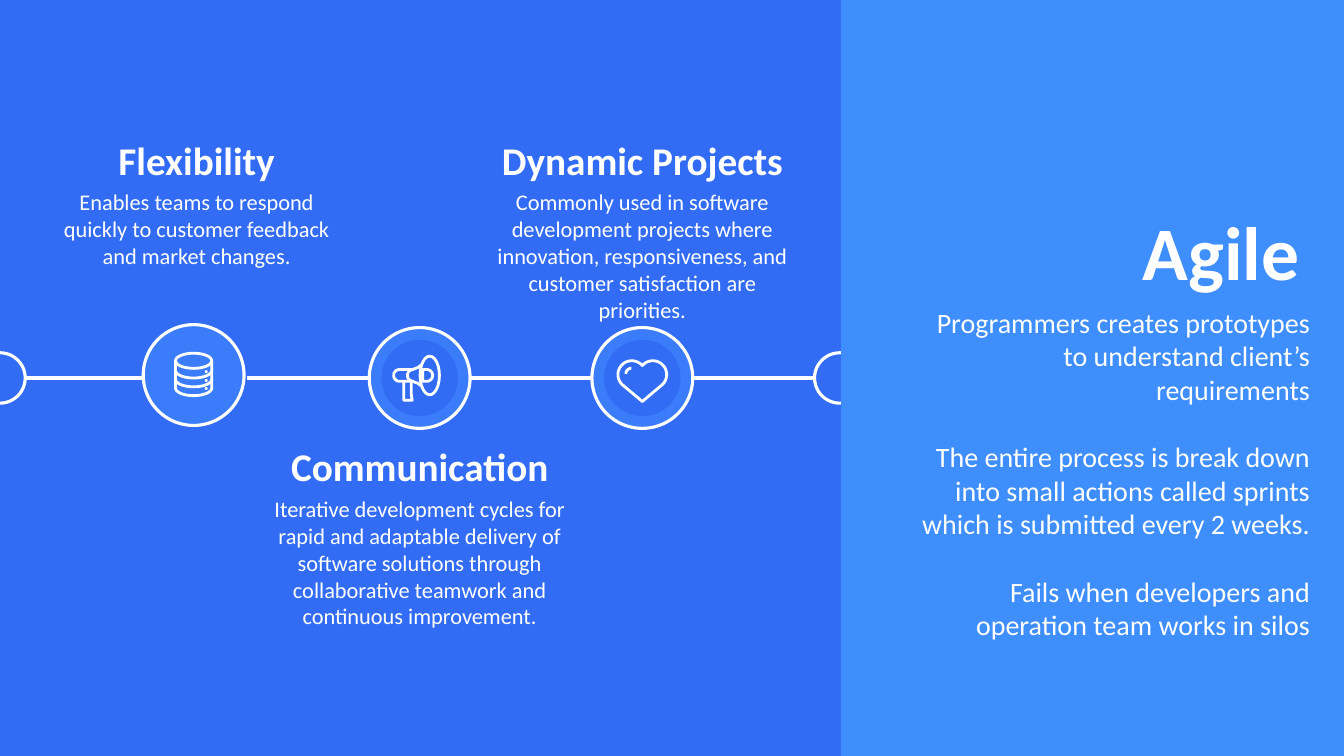
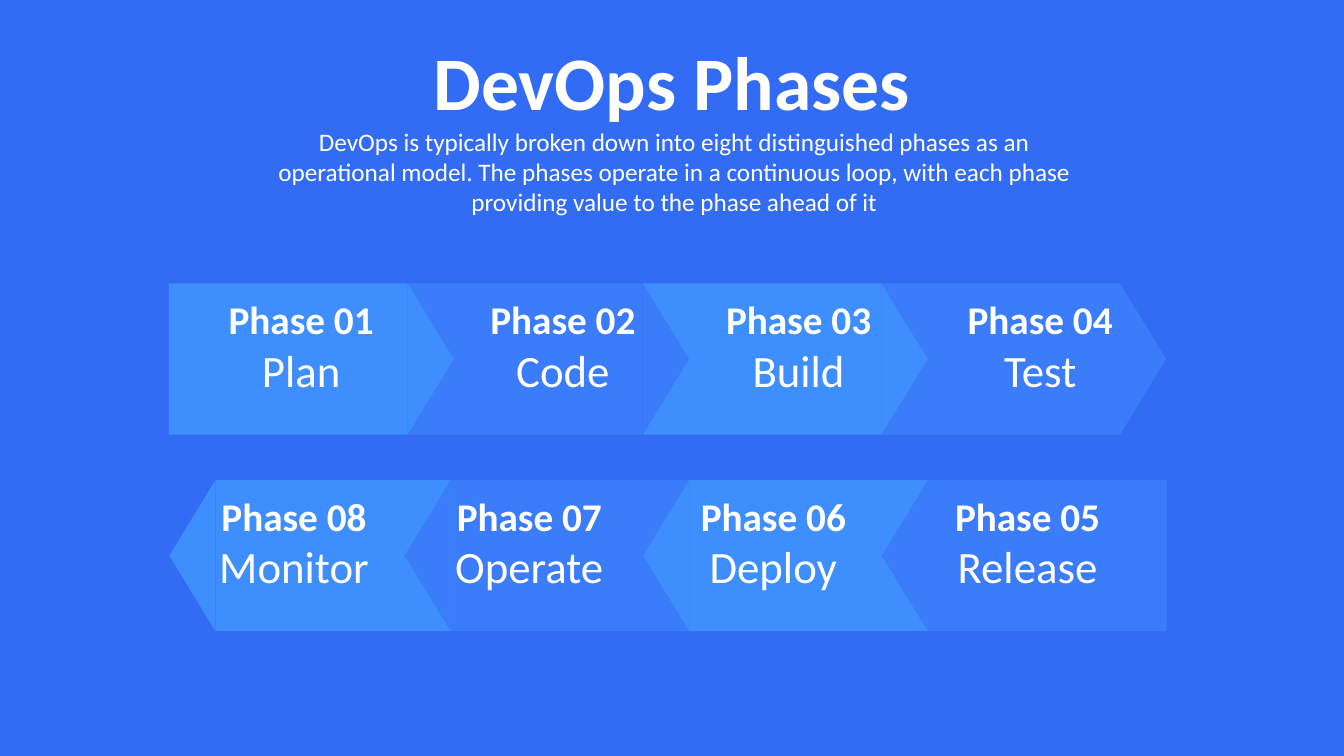
from dataclasses import dataclass
from math import cos, radians, sin

from lxml import etree
from pptx import Presentation
from pptx.dml.color import RGBColor
from pptx.enum.shapes import MSO_CONNECTOR, MSO_SHAPE
from pptx.enum.text import PP_ALIGN
from pptx.oxml.ns import qn
from pptx.util import Emu, Inches, Pt

RECT, OVAL, WEDGE = MSO_SHAPE.RECTANGLE, MSO_SHAPE.OVAL, MSO_SHAPE.ISOSCELES_TRIANGLE
LINE = MSO_CONNECTOR.STRAIGHT
MID, RIGHT = PP_ALIGN.CENTER, PP_ALIGN.RIGHT

FONT = "Calibri"
WHITE, BASE, SOFT, SKY = "FFFFFF", "326CF4", "3B7CFA", "3E8EFD"
COLS, ROWS = 32, 18
CELL = Inches(7.5) / ROWS  # every length below counts square grid cells

Point = tuple[float, float]


@dataclass
class Node:
    x: float
    y: float
    inner: bool
    strokes: list[list[Point]]
    dots: list[Point]


@dataclass
class Topic:
    x: float
    y: float
    width: float
    head: str
    body: str


@dataclass
class Phase:
    num: str
    name: str
    x: float
    mid: float


def cells(n: float) -> Emu:
    return Emu(round(n * CELL))


def tint(code: str) -> RGBColor:
    return RGBColor.from_string(code)


def paint(shape, fill: str | None = None, line: str | None = None,
          width: float = 2.25) -> None:
    shape.shadow.inherit = False
    if fill:
        shape.fill.solid()
        shape.fill.fore_color.rgb = tint(fill)
    else:
        shape.fill.background()
    if line:
        shape.line.color.rgb = tint(line)
        shape.line.width = Pt(width)
    else:
        shape.line.fill.background()


def block(slide, kind, x: float, y: float, w: float, h: float, fill: str):
    shape = slide.shapes.add_shape(kind, cells(x), cells(y), cells(w), cells(h))
    paint(shape, fill)
    return shape


def disc(slide, x: float, y: float, size: float, fill: str,
         line: str | None = None) -> None:
    """Draw a circle around its centre."""
    shape = block(slide, OVAL, x - size / 2, y - size / 2, size, size, fill)
    paint(shape, fill, line)


def link(slide, x: float, y: float, end: float) -> None:
    line = slide.shapes.add_connector(LINE, cells(x), cells(y), cells(end), cells(y))
    line.line.color.rgb = tint(WHITE)
    line.line.width = Pt(2.25)
    etree.SubElement(line._element.spPr, qn("a:effectLst"))


def write(slide, text: str, x: float, y: float, w: float, h: float, *,
          size: float, bold: bool = False, align=MID, gap: float = 0) -> None:
    """Set text, one paragraph a line, with gap points between paragraphs."""
    frame = slide.shapes.add_textbox(cells(x), cells(y), cells(w), cells(h)).text_frame
    frame.word_wrap = True
    for i, part in enumerate(text.split("\n")):
        para = frame.add_paragraph() if i else frame.paragraphs[0]
        para.text = part
        para.alignment = align
        if i and gap:
            para.space_before = Pt(gap)
        font = para.font
        font.name, font.size, font.bold = FONT, Pt(size), bold
        font.color.rgb = tint(WHITE)


def title(slide, text: str, x: float, y: float, w: float, align=MID) -> None:
    write(slide, text, x, y, w, 2.42, size=54, bold=True, align=align)


def arc(x: float, y: float, rx: float, ry: float, start: int, end: int) -> list[Point]:
    """Points on an ellipse, in degrees clockwise from the right."""
    steps = 24
    turns = [radians(start + (end - start) * i / steps) for i in range(steps + 1)]
    return [(x + rx * cos(t), y + ry * sin(t)) for t in turns]


def trace(slide, x: float, y: float, pts: list[Point]) -> None:
    """Draw an outline around (x, y), closed when it ends where it starts."""
    spots = [(cells(x + px), cells(y + py)) for px, py in pts]
    pen = slide.shapes.build_freeform(*spots[0], scale=1.0)
    pen.add_line_segments(spots[1:], close=spots[0] == spots[-1])
    paint(pen.convert_to_shape(), line=WHITE, width=2)


def close(pts: list[Point]) -> list[Point]:
    return pts + pts[:1]


def store() -> list[list[Point]]:
    rx, ry, top, base = 0.43, 0.18, -0.34, 0.31
    body = arc(0, top, rx, ry, 180, 360) + arc(0, base, rx, ry, 0, 180)
    return [close(body)] + [arc(0, y, rx, ry, 0, 180) for y in (top, -0.11, 0.1)]


def horn() -> list[list[Point]]:
    mid, r = -0.06, 0.14
    cone = close(arc(0.24, mid, 0.23, 0.46, 0, 360)[:-1])
    mouth = close([(0.07, mid - r), *arc(0.17, mid, r, r, -90, 90), (0.07, mid + r)])
    body = [(0.05, -0.32), (-0.04, -0.25), (-0.17, mid - r),
            *arc(-0.48, mid, r, r, 270, 90),
            (-0.17, mid + r), (-0.04, 0.13), (0.05, 0.2)]
    seam = arc(-0.15, mid, r, r, 270, 90)
    grip = [(-0.38, 0.1), (-0.38, 0.53), (-0.18, 0.53), (-0.2, 0.38), (-0.2, 0.1)]
    return [cone, mouth, body, seam, grip]


def heart() -> list[list[Point]]:
    x, y, r = 0.25, -0.08, 0.33
    edge = arc(-x, y, r, r, 135, 319) + arc(x, y, r, r, 221, 405) + [(0, 0.56)]
    return [close(edge), arc(-0.26, -0.1, 0.13, 0.13, 180, 270)]


AXIS = 9
NODES = [
    Node(4.61, 8.93, False, store(), [(0.3, y) for y in (-0.08, 0.13, 0.32)]),
    Node(9.99, AXIS, True, horn(), []),
    Node(15.29, AXIS, True, heart(), []),
]
LINKS = (0.58, 5.88, 11.21, 16.49)
TOPICS = [
    Topic(4.68, 3.12, 6.94, "Flexibility",
          "Enables teams to respond quickly to customer feedback and market changes."),
    Topic(15.29, 3.12, 7.54, "Dynamic Projects",
          "Commonly used in software development projects where innovation, "
          "responsiveness, and customer satisfaction are priorities."),
    Topic(9.99, 10.42, 8.14, "Communication",
          "Iterative development cycles for rapid and adaptable delivery of software "
          "solutions through collaborative teamwork and continuous improvement."),
]
AGILE = (
    "Programmers creates prototypes to understand client’s requirements\n"
    "The entire process is break down into small actions called sprints "
    "which is submitted every 2 weeks.\n"
    "Fails when developers and operation team works in silos"
)
INTRO = (
    "DevOps is typically broken down into eight distinguished phases as an "
    "operational model. The phases operate in a continuous loop, with each phase "
    "providing value to the phase ahead of it"
)
AHEAD = [Phase("01", "Plan", 4.02, 7.17), Phase("02", "Code", 9.62, 13.4),
         Phase("03", "Build", 15.3, 19.01), Phase("04", "Test", 20.98, 24.76)]
BACK = [Phase("08", "Monitor", 5.13, 7), Phase("07", "Operate", 10.73, 12.6),
        Phase("06", "Deploy", 16.41, 18.41), Phase("05", "Release", 22.09, 24.46)]
WIDE, HIGH, TIP = 5.68, 3.6, 1.1


def agile(slide) -> None:
    for x in LINKS:
        link(slide, x, AXIS, x + 2.88)
    for x in (0, 19.99):
        disc(slide, x, AXIS, 1.2, BASE, WHITE)
    for node in NODES:
        disc(slide, node.x, node.y, 2.4, SOFT, WHITE)
        if node.inner:
            disc(slide, node.x, node.y, 1.82, BASE)
        for pts in node.strokes:
            trace(slide, node.x, node.y, pts)
        for x, y in node.dots:
            disc(slide, node.x + x, node.y + y, 0.07, WHITE)
    block(slide, RECT, 20.02, 0, COLS - 20.02, ROWS, SKY)
    title(slide, "Agile", 22.27, 4.75, 8.9, RIGHT)
    write(slide, AGILE, 21.48, 7.15, 9.94, 7.51, size=20, align=RIGHT, gap=24)
    for item in TOPICS:
        write(slide, item.head, item.x - 4, item.y, 8, 1.37, size=28, bold=True)
        write(slide, item.body, item.x - item.width / 2, item.y + 1.25,
              item.width, 3.48, size=16)


def band(slide, row: list[Phase], y: float, left: bool) -> None:
    """Draw a row of arrows, each tip lying over its neighbour."""
    order = list(enumerate(row))
    for i, item in order if left else reversed(order):
        fill = SOFT if i % 2 else SKY
        block(slide, RECT, item.x, y, WIDE, HIGH, fill)
        mid = item.x - TIP / 2 if left else item.x + WIDE + TIP / 2
        tip = block(slide, WEDGE, mid - HIGH / 2, y + (HIGH - TIP) / 2, HIGH, TIP, fill)
        tip.rotation = 270 if left else 90
    for item in row:
        write(slide, f"Phase {item.num}", item.mid - 3.72, y + 0.17, 7.44, 1.37,
              size=28, bold=True)
        write(slide, item.name, item.mid - 2.72, y + 1.29, 5.44, 1.54, size=32)


def phases(slide) -> None:
    title(slide, "DevOps Phases", 7.18, 0.72, 17.62)
    write(slide, INTRO, 6.05, 2.88, 20, 2.42, size=18)
    band(slide, AHEAD, 6.75, left=False)
    band(slide, BACK, 11.43, left=True)


def main() -> None:
    deck = Presentation()
    deck.slide_width, deck.slide_height = Inches(13.33), Inches(7.5)
    for draw in (agile, phases):
        slide = deck.slides.add_slide(deck.slide_layouts[6])
        slide.background.fill.solid()
        slide.background.fill.fore_color.rgb = tint(BASE)
        draw(slide)
    deck.save("out.pptx")


if __name__ == "__main__":
    main()
